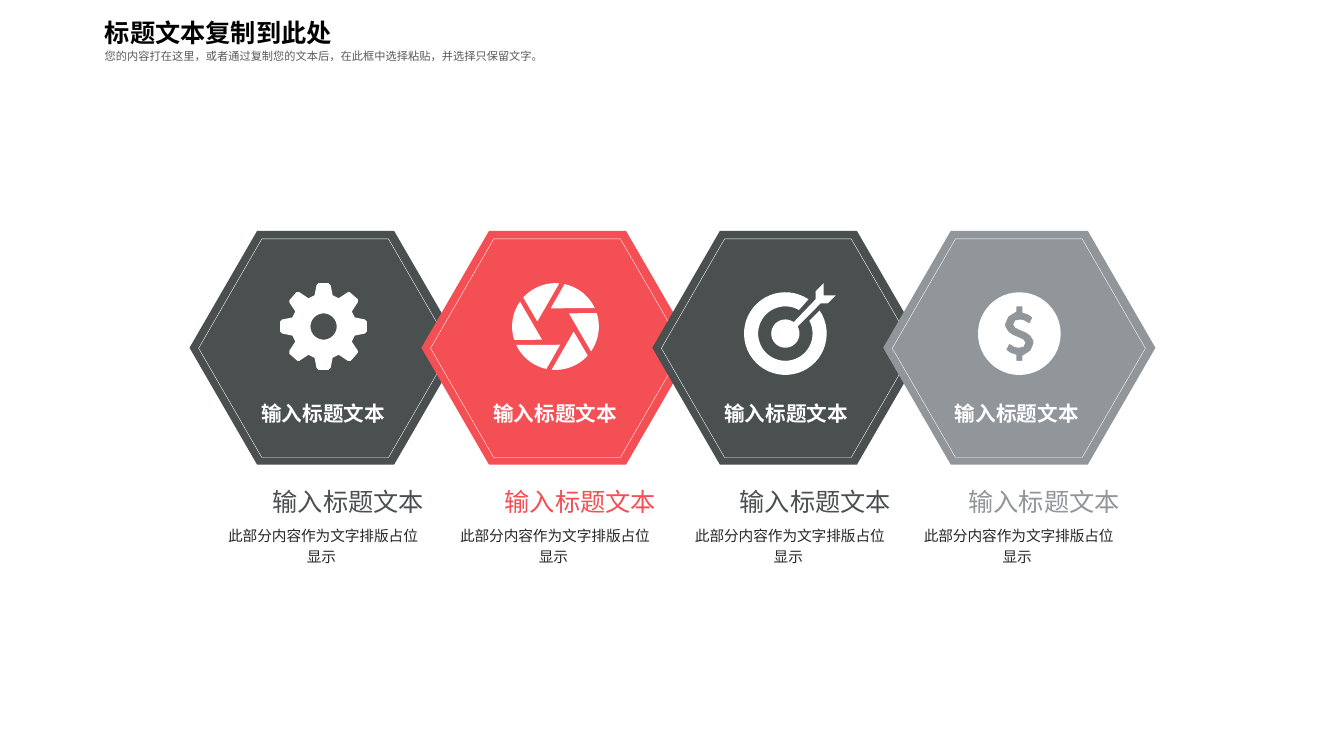
from math import cos, radians, sin

from lxml.etree import SubElement
from pptx import Presentation
from pptx.dml.color import RGBColor
from pptx.enum.shapes import MSO_SHAPE
from pptx.enum.text import MSO_ANCHOR, PP_ALIGN
from pptx.oxml.ns import qn
from pptx.util import Pt

SCALE = 9144  # EMU per px, 100 px to the inch
DARK = RGBColor(0x4A, 0x4F, 0x4F)
RED = RGBColor(0xF4, 0x4F, 0x54)
GRAY = RGBColor(0x91, 0x96, 0x9B)
WHITE = RGBColor(0xFF, 0xFF, 0xFF)
BLACK = RGBColor(0x00, 0x00, 0x00)
BODY = RGBColor(0x26, 0x26, 0x26)
SUBTITLE = RGBColor(0x59, 0x59, 0x59)
LATIN, CJK = "Arial", "Noto Sans CJK SC"


def px(n):
    return round(n * SCALE)


def box(*lengths):
    return [px(n) for n in lengths]


# Text
def set_text(tf, text, size, color, font=LATIN, bold=False, align=PP_ALIGN.CENTER,
             anchor=MSO_ANCHOR.TOP, wrap=True, spacing=None, insets=None, indent=0):
    tf.word_wrap = wrap
    tf.vertical_anchor = anchor
    if insets:
        tf.margin_left, tf.margin_top, tf.margin_right, tf.margin_bottom = box(*insets)
    p = tf.paragraphs[0]
    p.text = text
    p.alignment = align
    p.line_spacing = spacing
    p.font.size = Pt(size)
    p.font.bold = bold
    p.font.color.rgb = color
    p.font.name = font
    pPr = p._p.get_or_add_pPr()
    SubElement(pPr.find(qn("a:defRPr")), qn("a:ea")).set("typeface", CJK)
    if indent:
        pPr.set("marL", str(px(indent)))
        pPr.set("indent", "0")


def add_text(shapes, bounds, text, size, color, **style):
    s = shapes.add_textbox(*box(*bounds))
    set_text(s.text_frame, text, size, color, **style)


# Outlines, as points around the centre of an icon
def arc(radius, start, end, steps=48):
    angles = [radians(start + (end - start) * i / steps) for i in range(steps + 1)]
    return [(radius * cos(a), radius * sin(a)) for a in angles]


def rotate(points, degrees):
    c, s = cos(radians(degrees)), sin(radians(degrees))
    return [(x * c - y * s, x * s + y * c) for x, y in points]


def gear():
    teeth = [(-9, -31), (-7, -41), (-5, -43), (5, -43), (7, -41), (9, -31),
             (15, -28), (24, -34), (26, -34), (34, -27), (34, -24), (28, -15)]
    rim = [pt for turn in range(4) for pt in rotate(teeth, 90 * turn)]
    return [rim, arc(13, 360, 0)]


def aperture():
    blade = arc(43, 222, 275) + [(-18, -5)]
    blade = blade[:-1] + blade[-1:]
    return [rotate(blade, 60 * turn) for turn in range(6)]


def target():
    ring = arc(41, -34, 304) + arc(27, 300, -28)
    arrow = [(30, -34), (30, -42), (38, -50), (38, -38), (50, -38), (42, -30), (35, -30)]
    return [ring, arc(14, -30, 306) + arrow]


def coin():
    half = [(-3, -27), (3, -27), (3, -21), (9, -19), (13, -16), (10, -10),
            (5, -13), (1, -14), (-4, -13), (-6, -9), (-4, -6), (0, -4),
            (7, -1), (11, 2), (14, 7), (14, 10), (11, 17), (3, 22)]
    dollar = half + rotate(half, 180)
    return [arc(41, 0, 360), dollar[::-1]]


def add_icon(shapes, center_x, center_y, contours):
    builder = None
    for contour in contours:
        points = [(px(center_x + x), px(center_y + y)) for x, y in contour]
        if builder is None:
            builder = shapes.build_freeform(*points[0], scale=1.0)
        else:
            builder.move_to(*points[0])
        builder.add_line_segments(points[1:], close=True)
    s = builder.convert_to_shape()
    s.shadow.inherit = False
    s.fill.solid()
    s.fill.fore_color.rgb = WHITE
    s.line.fill.background()


def add_hexagon(shapes, bounds, fill=None):
    s = shapes.add_shape(MSO_SHAPE.HEXAGON, *box(*bounds))
    s.adjustments[0] = 0.289
    s.shadow.inherit = False
    if fill is None:
        s.fill.background()
        s.line.color.rgb = WHITE
        s.line.width = Pt(0.25)
    else:
        s.fill.solid()
        s.fill.fore_color.rgb = fill
        s.line.fill.background()
    return s


def add_card(slide, color, left, text_left, icon_center, icon):
    shapes = slide.shapes.add_group_shape().shapes
    hexagon = add_hexagon(shapes, (left, 229, 270, 232), color)
    set_text(hexagon.text_frame, "输入标题文本 ", 14.7, WHITE, bold=True,
             anchor=MSO_ANCHOR.BOTTOM, wrap=False, insets=(0, 0, 0, 0))
    add_hexagon(shapes, (left + 9, 237, 251, 217))
    add_icon(shapes, *icon_center, icon())
    add_text(shapes, (text_left, 462, 219, 58), "输入标题文本", 18, color,
             anchor=MSO_ANCHOR.BOTTOM, wrap=False, insets=(0, 0, 0, 8), indent=50)
    add_text(shapes, (text_left, 519, 219, 76), "此部分内容作为文字排版占位\n显示 ",
             10.5, BODY, spacing=1.2, insets=(0, 0, 0, 0))


def main():
    prs = Presentation()
    prs.slide_width, prs.slide_height = box(1333, 750)
    slide = prs.slides.add_slide(prs.slide_layouts[5])

    # Heading
    title = slide.shapes.title
    title.left, title.top, title.width, title.height = box(94, 3, 356, 49)
    set_text(title.text_frame, "标题文本复制到此处", 18, BLACK, font=CJK, bold=True,
             align=PP_ALIGN.LEFT, spacing=1.3)
    add_text(slide.shapes, (94, 37, 626, 30),
             "您的内容打在这里，或者通过复制您的文本后，在此框中选择粘贴，并选择只保留文字。",
             8, SUBTITLE, font=CJK, align=PP_ALIGN.LEFT, spacing=1.5)

    # Cards: colour, hexagon left, text left, icon centre, icon
    cards = [
        (DARK, 188, 211, (321, 324), gear),
        (RED, 418, 441, (551, 324), aperture),
        (DARK, 647, 674, (779, 331), target),
        (GRAY, 876, 901, (1011, 331), coin),
    ]
    for card in cards:
        add_card(slide, *card)

    prs.save("out.pptx")


if __name__ == "__main__":
    main()
